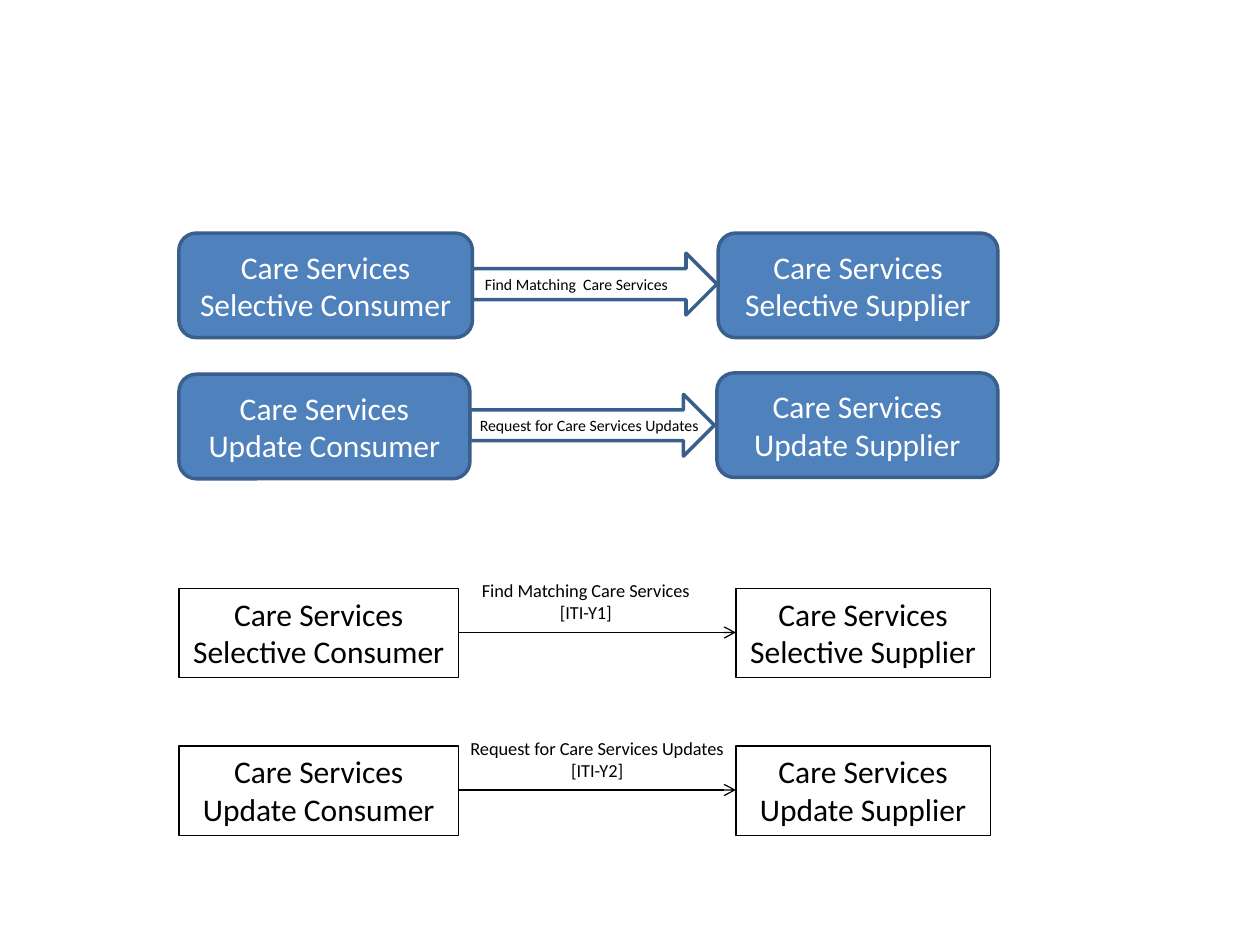
from dataclasses import dataclass

from lxml.etree import SubElement
from pptx import Presentation
from pptx.dml.color import RGBColor
from pptx.enum.shapes import MSO_CONNECTOR, MSO_SHAPE
from pptx.enum.text import MSO_ANCHOR, MSO_AUTO_SIZE, PP_ALIGN
from pptx.oxml.ns import qn
from pptx.util import Emu, Pt

SCALE = 9144  # EMU in one px, at 100 px to the inch


@dataclass(frozen=True)
class Theme:
    font: str = "Calibri"
    blue: RGBColor = RGBColor(0x4F, 0x81, 0xBD)
    edge: RGBColor = RGBColor(0x3A, 0x5F, 0x8C)
    white: RGBColor = RGBColor(0xFF, 0xFF, 0xFF)
    black: RGBColor = RGBColor(0, 0, 0)
    actor: float = 18
    note: float = 10.5
    small: float = 9
    thick: float = 2
    thin: float = 0.75


@dataclass(frozen=True)
class Box:
    left: int
    top: int
    width: int
    height: int

    def emu(self) -> list[Emu]:
        return [px(n) for n in (self.left, self.top, self.width, self.height)]


@dataclass(frozen=True)
class Flow:
    """A consumer, a supplier and the labelled arrow between them."""
    user: Box
    maker: Box
    arrow: Box
    label: Box
    kind: str
    text: str
    wrap: bool


@dataclass(frozen=True)
class Call:
    """A transaction row of the lower diagram."""
    top: int
    label: Box
    kind: str
    text: str
    code: str


THEME = Theme()

FLOWS = [
    Flow(Box(142, 185, 233, 83), Box(570, 185, 222, 83),
         Box(375, 201, 194, 49), Box(375, 213, 194, 25),
         "Selective", "Find Matching  Care Services", True),
    Flow(Box(142, 297, 231, 83), Box(569, 296, 223, 83),
         Box(373, 313, 194, 49), Box(371, 325, 196, 25),
         "Update", "Request for Care Services Updates", False),
]

CALLS = [
    Call(467, Box(367, 455, 196, 47), "Selective",
         "Find Matching Care Services", "[ITI-Y1]"),
    Call(592, Box(361, 580, 226, 45), "Update",
         "Request for Care Services Updates", "[ITI-Y2]"),
]


def px(count: int) -> Emu:
    return Emu(count * SCALE)


def write(shape, lines: list[str], size: float, color: RGBColor,
          align: PP_ALIGN = PP_ALIGN.CENTER, wrap: bool = True,
          grow: bool = True) -> None:
    frame = shape.text_frame
    frame.text = "\n".join(lines)
    frame.word_wrap = wrap
    if grow:
        frame.auto_size = MSO_AUTO_SIZE.SHAPE_TO_FIT_TEXT
    for para in frame.paragraphs:
        para.alignment = align
        para.font.name = THEME.font
        para.font.size = Pt(size)
        para.font.color.rgb = color


def solid(slide, form: MSO_SHAPE, box: Box, fill: RGBColor):
    shape = slide.shapes.add_shape(form, *box.emu())
    shape.shadow.inherit = False
    shape.fill.solid()
    shape.fill.fore_color.rgb = fill
    shape.line.color.rgb = THEME.edge
    shape.line.width = Pt(THEME.thick)
    return shape


def frame(slide, box: Box, lines: list[str]) -> None:
    shape = slide.shapes.add_shape(MSO_SHAPE.RECTANGLE, *box.emu())
    shape.shadow.inherit = False
    shape.fill.background()
    shape.line.color.rgb = THEME.black
    shape.line.width = Pt(THEME.thin)
    shape.text_frame.vertical_anchor = MSO_ANCHOR.TOP
    write(shape, lines, THEME.actor, THEME.black)


def link(slide, start: int, end: int, level: int) -> None:
    line = slide.shapes.add_connector(
        MSO_CONNECTOR.STRAIGHT, px(start), px(level), px(end), px(level))
    line.line.color.rgb = THEME.black
    line.line.width = Pt(THEME.thin)
    SubElement(line.line._get_or_add_ln(), qn("a:tailEnd"), type="arrow")
    SubElement(line._element.spPr, qn("a:effectLst"))


def draw_flow(slide, flow: Flow) -> None:
    solid(slide, MSO_SHAPE.RIGHT_ARROW, flow.arrow, THEME.white)
    for box, role in ((flow.user, "Consumer"), (flow.maker, "Supplier")):
        shape = solid(slide, MSO_SHAPE.ROUNDED_RECTANGLE, box, THEME.blue)
        shape.text_frame.vertical_anchor = MSO_ANCHOR.MIDDLE
        write(shape, [f"Care Services {flow.kind} {role}"],
              THEME.actor, THEME.white, grow=False)
    label = slide.shapes.add_textbox(*flow.label.emu())
    write(label, [flow.text], THEME.small, THEME.black,
          PP_ALIGN.LEFT, flow.wrap)


def draw_call(slide, call: Call) -> None:
    user = Box(142, call.top, 222, 71)
    maker = Box(584, call.top, 202, 71)
    for box, role in ((user, "Consumer"), (maker, "Supplier")):
        frame(slide, box, ["Care Services", f"{call.kind} {role}"])
    link(slide, user.left + user.width, maker.left, call.top + 35)
    label = slide.shapes.add_textbox(*call.label.emu())
    write(label, [call.text, call.code], THEME.note, THEME.black, wrap=False)


def main() -> None:
    deck = Presentation()
    deck.slide_width, deck.slide_height = px(1000), px(750)
    slide = deck.slides.add_slide(deck.slide_layouts[6])

    # Upper diagram: filled actors and block arrows
    for flow in FLOWS:
        draw_flow(slide, flow)

    # Lower diagram: outlined actors and thin arrows
    for call in CALLS:
        draw_call(slide, call)

    deck.save("out.pptx")


if __name__ == "__main__":
    main()
